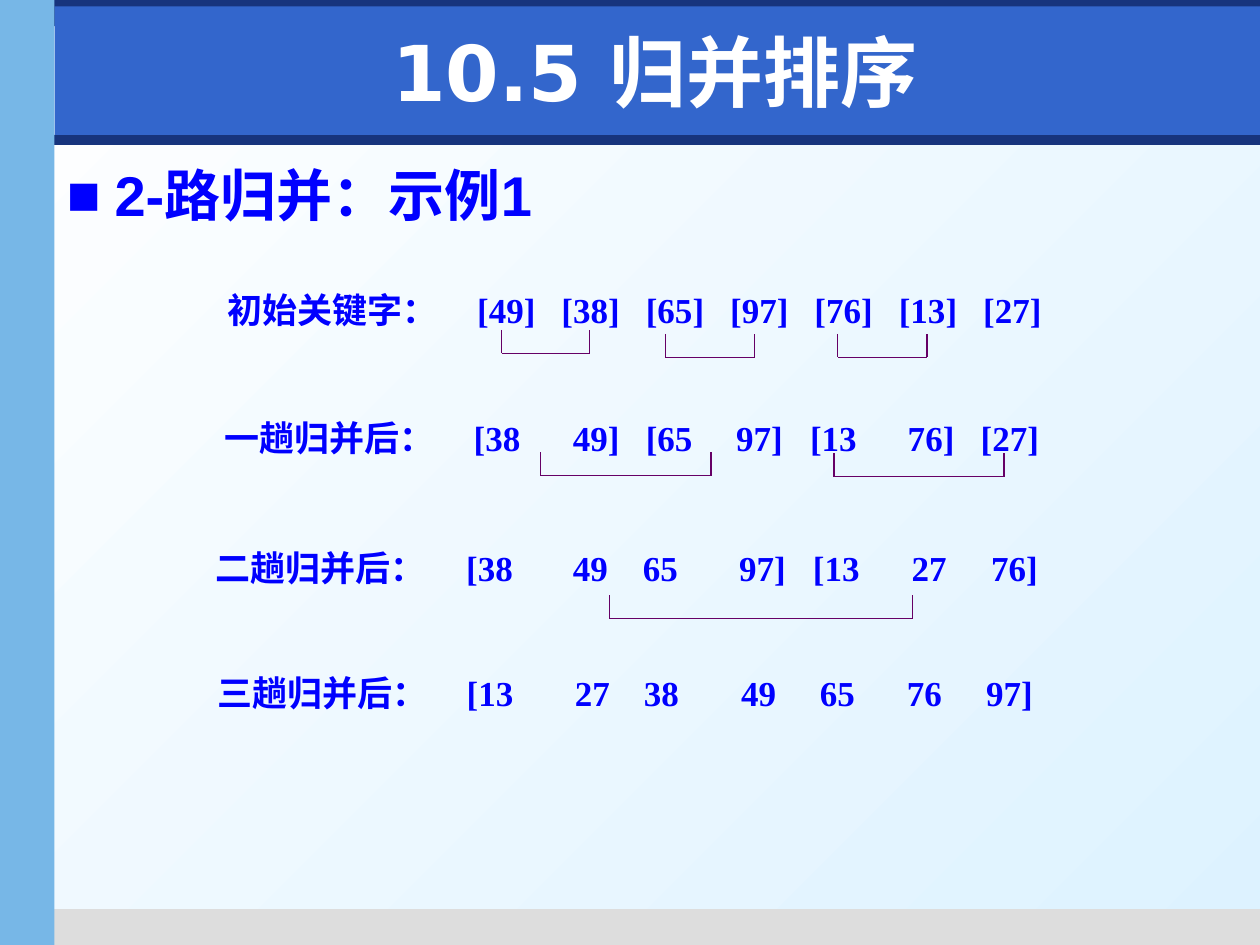
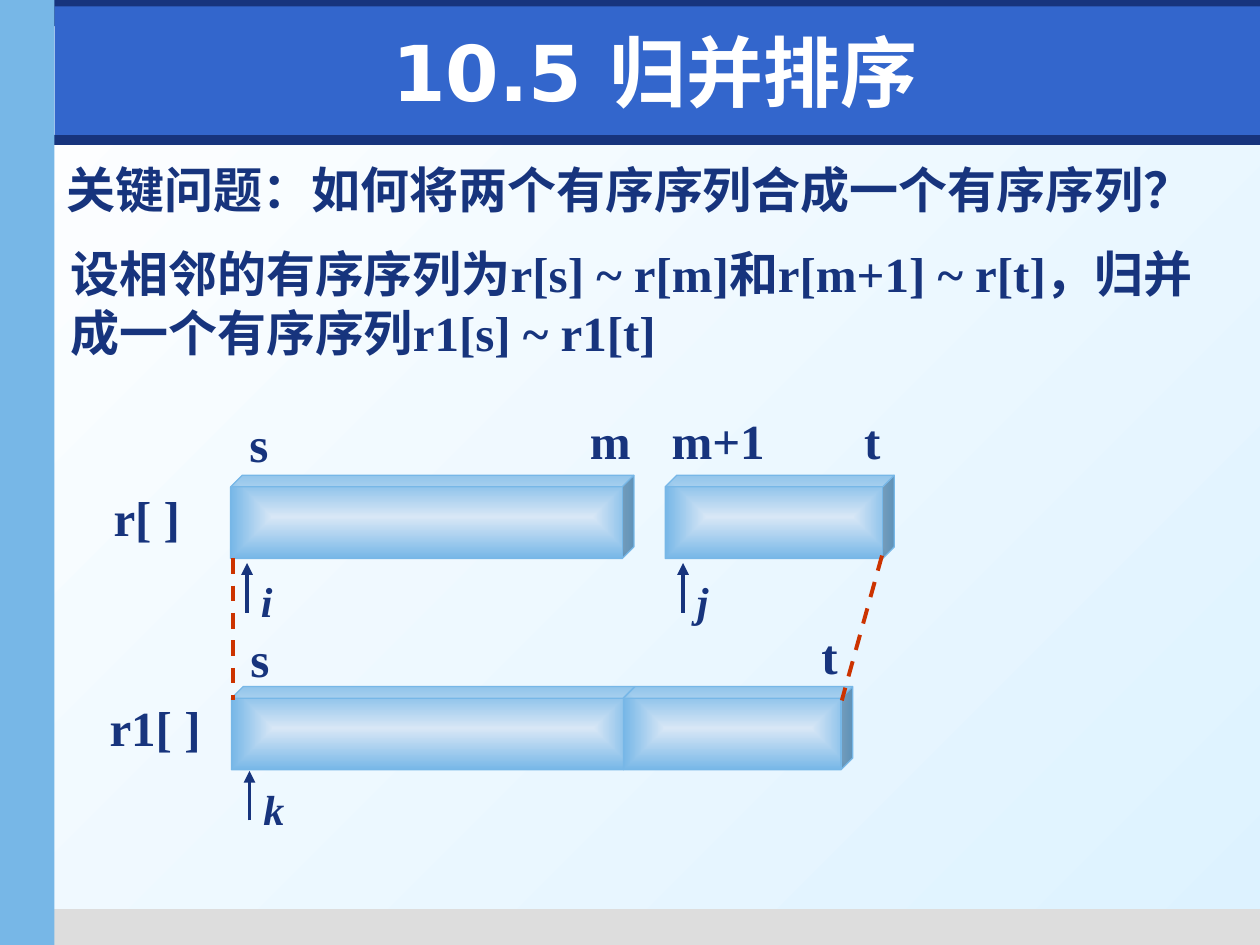
import pptx
import pptx.util
import pptx.dml.color
import pptx.enum.dml
import pptx.enum.shapes
import pptx.enum.text
import pptx.oxml
import pptx.oxml.ns
from lxml import etree

Cm = pptx.util.Cm
qn = pptx.oxml.ns.qn
SHAPE = pptx.enum.shapes.MSO_SHAPE
NAVY, BLUE, SKY, GREY = "17347D", "3366CC", "77B7E7", "DDDDDD"
WHITE, PALE, ICE, INK = "FFFFFF", "DDF2FF", "D8E7F6", "0000FF"
PURPLE, RED = "660066", "CC3300"
SERIF = "Times New Roman"


def rgb(color):
    return pptx.dml.color.RGBColor.from_string(color)


def text(sp, *runs, size=28, font=SERIF, color=NAVY, italic=False, align="LEFT",
         anchor="TOP", inset=True, bullet=None, indent=0, tabs=()):
    tf = sp.text_frame
    tf.word_wrap = True
    tf.vertical_anchor = getattr(pptx.enum.text.MSO_ANCHOR, anchor)
    if not inset:
        tf.margin_left = tf.margin_right = tf.margin_top = tf.margin_bottom = 0
    p = tf.paragraphs[0]
    p.alignment = getattr(pptx.enum.text.PP_ALIGN, align)
    pPr = p._p.get_or_add_pPr()
    if bullet:
        pPr.set("marL", str(Cm(indent)))
        pPr.set("indent", str(-Cm(indent)))
        clr = etree.SubElement(pPr, qn("a:buClr"))
        etree.SubElement(clr, qn("a:srgbClr"), val=color)
        etree.SubElement(pPr, qn("a:buFont"), typeface=font)
        etree.SubElement(pPr, qn("a:buChar"), char=bullet)
    if tabs:
        lst = etree.SubElement(pPr, qn("a:tabLst"))
        for x in tabs:
            etree.SubElement(lst, qn("a:tab"), pos=str(Cm(x)), algn="l")
    for run in runs:
        words, face = run if isinstance(run, tuple) else (run, font)
        r = p.add_run()
        r.text = words
        r.font.size = pptx.util.Pt(size)
        r.font.name = face
        r.font.bold = True
        r.font.italic = italic
        r.font.color.rgb = rgb(color)


prs = pptx.Presentation()
prs.slide_width, prs.slide_height = Cm(25.4), Cm(19.05)
master = prs.slide_master

fill = master.background.fill
fill.gradient()
fill.gradient_angle = 315
for stop, color in zip(fill.gradient_stops, (WHITE, PALE)):
    stop.color.rgb = rgb(color)

slides = []
for i in range(2):
    s = prs.slides.add_slide(prs.slide_layouts[5])
    title = s.shapes.title
    title.left, title.top, title.width, title.height = Cm(1.5), Cm(0.33), Cm(23.4), Cm(2.2)
    text(title, "10.5 归并排序", size=44, font="DejaVu Sans", color=WHITE,
         align="CENTER", anchor="MIDDLE")
    slides.append(s)
example, merge = slides

bands = [
    (0.1, 2.72, 25.3, 0.2, NAVY),
    (0.9, 18.33, 24.5, 0.72, GREY),
    (0, 0, 25.4, 0.53, NAVY),
    (1.1, 0.13, 24.3, 2.59, BLUE),
    (0, 0, 1.1, 19.05, SKY),
]
for i, (x, y, w, h, color) in enumerate(bands):
    sp = example.shapes.add_shape(SHAPE.RECTANGLE, Cm(x), Cm(y), Cm(w), Cm(h))
    sp.shadow.inherit = False
    sp.fill.solid()
    sp.fill.fore_color.rgb = rgb(color)
    sp.line.fill.background()
    master.shapes.element.insert(2 + i, sp.element)

sp = example.shapes.add_textbox(Cm(1.1), Cm(3.12), Cm(23.8), Cm(1.6))
text(sp, "2-路归并：示例1", size=32, font="Arial", color=INK, bullet="■", indent=0.96)

rows = [
    (4.34, 5.69, "初始关键字：", "[49] [38] [65] [97] [76] [13] [27]",
     [9.62 + 1.7 * i for i in range(7)]),
    (4.27, 8.28, "一趟归并后：", "[38 49] [65 97] [13 76] [27]",
     [9.55, 11.55, 13.02, 14.84, 16.33, 18.3, 19.77]),
    (4.09, 10.9, "二趟归并后：", "[38 49 65 97] [13 27 76]",
     [9.4, 11.55, 12.96, 14.9, 16.39, 18.38, 19.98]),
    (4.14, 13.41, "三趟归并后：", "[13 27 38 49 65 76 97]",
     [9.41, 11.59, 12.98, 14.94, 16.53, 18.28, 19.88]),
]
for x, y, label, keys, stops in rows:
    sp = example.shapes.add_textbox(Cm(x), Cm(y), Cm(17.1), Cm(1.12))
    text(sp, "\t".join([label] + keys.split()), size=20, color=INK,
         tabs=[stop - x - 0.25 for stop in stops])

lines = []
brackets = [
    (10.11, 11.89, 6.65), (13.41, 15.21, 6.73), (16.89, 18.69, 6.73),
    (10.9, 14.33, 9.12), (16.81, 20.24, 9.14), (12.29, 18.39, 12),
]
for x1, x2, y in brackets:
    base = y + 0.47
    for ends in ((x1, y, x1, base), (x1, base, x2, base), (x2, base, x2, y)):
        lines.append((example, ends, PURPLE, 0.75, None))

sp = merge.shapes.add_textbox(Cm(1.1), Cm(3.1), Cm(24.3), Cm(1.45))
text(sp, ("关键问题：", "Noto Sans CJK SC"), ("如何将两个有序序列合成一个有序序列？", "Arial"))
sp = merge.shapes.add_textbox(Cm(1.17), Cm(4.78), Cm(23.32), Cm(2.62))
text(sp, "设相邻的有序序列为r[s] ~ r[m]和r[m+1] ~ r[t]，归并成一个有序序列r1[s] ~ r1[t]")

for x, y, w in ((4.65, 9.58, 8.13), (13.41, 9.58, 4.62),
                (4.67, 13.84, 8.13), (12.57, 13.84, 4.62)):
    sp = merge.shapes.add_shape(SHAPE.CUBE, Cm(x), Cm(y), Cm(w), Cm(1.68))
    sp.shadow.inherit = False
    sp.adjustments[0] = 0.14
    sp.line.color.rgb = rgb(SKY)
    sp.line.width = pptx.util.Pt(0.75)
    sp.fill.gradient()
    for stop, color in zip(sp.fill.gradient_stops, (ICE, SKY)):
        stop.color.rgb = rgb(color)
    grad = sp.element.spPr.find(qn("a:gradFill"))
    grad.remove(grad.find(qn("a:lin")))
    focus = etree.SubElement(grad, qn("a:path"))
    focus.set("path", "rect")
    etree.SubElement(focus, qn("a:fillToRect"), l="50000", t="50000", r="50000", b="50000")

labels = [
    ("s", 5.03, 8.33, 0.6), ("m", 11.89, 8.28, 1), ("m+1", 13.54, 8.28, 2.2),
    ("t", 17.42, 8.28, 0.6), ("r[ ]", 2.29, 9.83, 1.7),
    ("s", 5.05, 12.67, 0.6), ("t", 16.56, 12.62, 0.6), ("r1[ ]", 2.21, 14.07, 2.1),
]
for words, x, y, w in labels:
    sp = merge.shapes.add_textbox(Cm(x), Cm(y), Cm(w), Cm(1.19))
    text(sp, words, inset=False)

for words, x, y in (("i", 4.98, 11.35), ("j", 13.77, 11.35), ("k", 5.03, 15.54)):
    sp = merge.shapes.add_textbox(Cm(x + 0.28), Cm(y + 0.26), Cm(0.55), Cm(1.02))
    text(sp, words, size=24, italic=True, inset=False)
    lines.append((merge, (x, y + 1, x, y), NAVY, 2.25, "arrow"))
for ends in ((4.7, 11.25, 4.7, 14.12), (17.78, 11.2, 16.97, 14.12)):
    lines.append((merge, ends, RED, 2.25, "dash"))

for s, ends, color, width, style in lines:
    sp = s.shapes.add_connector(pptx.enum.shapes.MSO_CONNECTOR.STRAIGHT,
                                *[Cm(v) for v in ends])
    sp.line.color.rgb = rgb(color)
    sp.line.width = pptx.util.Pt(width)
    spPr = sp.element.spPr
    if style == "dash":
        sp.line.dash_style = pptx.enum.dml.MSO_LINE.DASH
    if style == "arrow":
        etree.SubElement(spPr.find(qn("a:ln")), qn("a:tailEnd"), type="triangle")
    etree.SubElement(spPr, qn("a:effectLst"))

prs.save("out.pptx")
